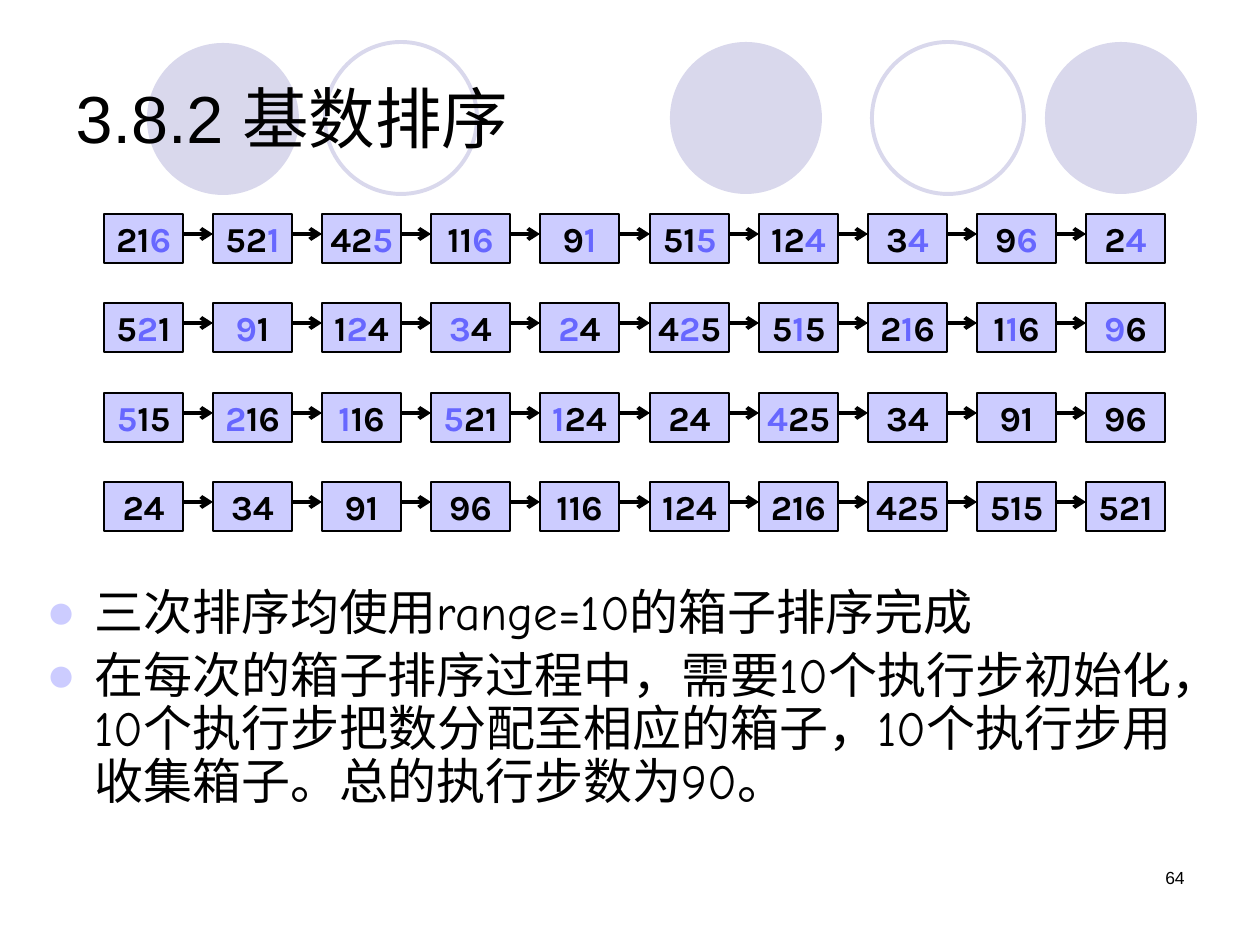
"""Build the radix sort slide with its four chains of numbers."""
from lxml import etree
from pptx import Presentation
from pptx import util as u
from pptx.dml.color import RGBColor
from pptx.enum import shapes, text
from pptx.oxml.ns import qn

BLACK = RGBColor(0x00, 0x00, 0x00)
LAVENDER = RGBColor(0xCC, 0xCC, 0xFF)
VIOLET = RGBColor(0x67, 0x67, 0xFF)
PALE = RGBColor(0xD9, 0xD8, 0xEC)

NUMBERS = [216, 521, 425, 116, 91, 515, 124, 34, 96, 24]
CIRCLES = [(670, 42, True), (1045, 42, True), (147, 43, True),
           (872, 42, False), (325, 42, False)]
POINTS = [
    "三次排序均使用range=10的箱子排序完成",
    "在每次的箱子排序过程中，需要10个执行步初始化，10个执行步把数分配至相应的箱子，"
    "10个执行步用收集箱子。总的执行步数为90。",
]
CIRCLE_SIZE = 152
BOX_W, BOX_H = 79, 49
CHAIN_LEFT, CHAIN_TOP, CHAIN_WIDTH, CHAIN_HEIGHT = 104, 214, 982, 268
ARROW_DROP = 20


def px(n):
    """Turn pixels into EMU."""
    return u.Inches(n / 126)


def add_run(p, content, size=20, font="Arial", color=BLACK, bold=False):
    """Append a formatted run to a paragraph."""
    r = p.add_run()
    r.text = content
    r.font.size = u.Pt(size)
    r.font.name = font
    r.font.bold = bold
    r.font.color.rgb = color


def add_filled(s, kind, x, y, w, h, fill=None, line=None, weight=0.75):
    """Add a preset shape without shadow."""
    sp = s.shapes.add_shape(kind, px(x), px(y), px(w), px(h))
    sp.shadow.inherit = False
    if fill is None:
        sp.fill.background()
    else:
        sp.fill.solid()
        sp.fill.fore_color.rgb = fill
    if line is None:
        sp.line.fill.background()
    else:
        sp.line.color.rgb = line
        sp.line.width = u.Pt(weight)
    return sp


def add_circles(s):
    """Add the row of solid and hollow circles behind the title."""
    for x, y, solid in CIRCLES:
        add_filled(s, shapes.MSO_SHAPE.OVAL, x, y, CIRCLE_SIZE, CIRCLE_SIZE,
                   fill=PALE if solid else None,
                   line=None if solid else PALE, weight=2.25)


def set_title(s, content):
    """Place and fill the title in front of the circles."""
    sp = s.shapes.title
    sp.left, sp.top, sp.width, sp.height = px(63), px(38), px(1134), px(157)
    tf = sp.text_frame
    tf.auto_size = text.MSO_AUTO_SIZE.NONE
    tf.vertical_anchor = text.MSO_ANCHOR.MIDDLE
    p = tf.paragraphs[0]
    p.alignment = text.PP_ALIGN.LEFT
    add_run(p, content, size=38)
    s.shapes.element.append(sp.element)


def add_text_box(s, x, y, w, h):
    """Add a wrapping text box and return its text frame."""
    tf = s.shapes.add_textbox(px(x), px(y), px(w), px(h)).text_frame
    tf.word_wrap = True
    return tf


def set_bullet(p, indent):
    """Give a paragraph a hanging round bullet."""
    ppr = p._p.get_or_add_pPr()
    ppr.set("marL", str(indent))
    ppr.set("indent", str(-indent))
    color = etree.SubElement(ppr, qn("a:buClr"))
    etree.SubElement(color, qn("a:srgbClr"), val=str(LAVENDER))
    etree.SubElement(ppr, qn("a:buFont"), typeface="Arial")
    etree.SubElement(ppr, qn("a:buChar"), char="●")


def add_points(s):
    """Add the bulleted remarks."""
    tf = add_text_box(s, 34, 582, 1189, 334)
    for i, point in enumerate(POINTS):
        p = tf.add_paragraph() if i else tf.paragraphs[0]
        p.line_spacing = 0.9
        p.space_before = u.Pt(5.6)
        set_bullet(p, px(48))
        add_run(p, point, size=28, font="Comic Neue")


def add_page_number(s, number):
    """Add the page number at the lower right."""
    p = add_text_box(s, 903, 861, 294, 63).paragraphs[0]
    p.alignment = text.PP_ALIGN.RIGHT
    add_run(p, number, size=10)


def add_arrow(s, x1, x2, y):
    """Add a horizontal arrow."""
    line = s.shapes.add_connector(shapes.MSO_CONNECTOR.STRAIGHT,
                                  px(x1), px(y), px(x2), px(y))
    line.line.color.rgb = BLACK
    line.line.width = u.Pt(2.25)
    etree.SubElement(line.line._get_or_add_ln(), qn("a:tailEnd"), type="arrow")
    etree.SubElement(line.element.spPr, qn("a:effectLst"))


def add_number(s, x, y, number, place):
    """Add a number box with the digit at the given place highlighted."""
    sp = add_filled(s, shapes.MSO_SHAPE.RECTANGLE, x, y, BOX_W, BOX_H,
                    fill=LAVENDER, line=BLACK)
    tf = sp.text_frame
    tf.word_wrap = False
    tf.vertical_anchor = text.MSO_ANCHOR.MIDDLE
    p = tf.paragraphs[0]
    p.alignment = text.PP_ALIGN.CENTER
    digits = str(number)
    key = len(digits) - 1 - place
    parts = [(digits, BLACK)]
    if key >= 0:
        parts = [(digits[:key], BLACK), (digits[key], VIOLET),
                 (digits[key + 1:], BLACK)]
    for part, color in parts:
        if part:
            add_run(p, part, font="Karla", color=color, bold=True)


def add_chain(s, y, numbers, place):
    """Add one row of numbers linked by arrows."""
    last = len(numbers) - 1
    lefts = [CHAIN_LEFT + round(i * CHAIN_WIDTH / last) for i in range(last + 1)]
    for x, number in zip(lefts, numbers):
        add_number(s, x, y, number, place)
    for x, following in zip(lefts, lefts[1:]):
        add_arrow(s, x + BOX_W, following, y + ARROW_DROP)


def add_sorting_passes(s):
    """Add the chains, each sorted by one more digit than the one above."""
    numbers = NUMBERS
    for place in range(4):
        add_chain(s, CHAIN_TOP + round(place * CHAIN_HEIGHT / 3), numbers, place)
        numbers = sorted(numbers, key=lambda n: n // 10 ** place % 10)


def main():
    """Build and save the slide."""
    prs = Presentation()
    prs.slide_width, prs.slide_height = px(1260), px(945)
    s = prs.slides.add_slide(prs.slide_layouts[5])
    add_circles(s)
    add_page_number(s, "64")
    set_title(s, "3.8.2 基数排序")
    add_points(s)
    add_sorting_passes(s)
    prs.save("out.pptx")


if __name__ == "__main__":
    main()
